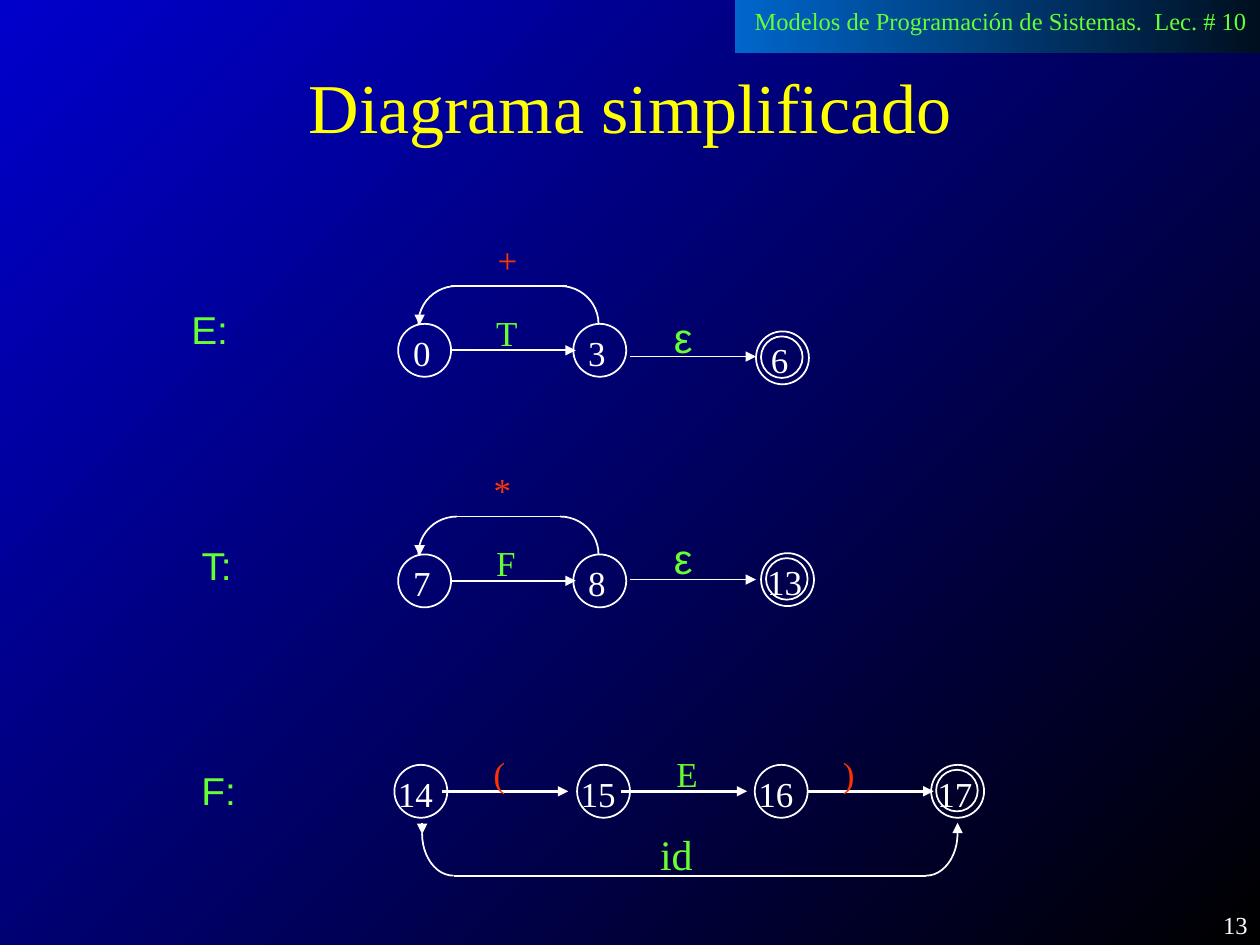
from lxml import etree
from pptx import Presentation
from pptx.dml.color import RGBColor
from pptx.enum.shapes import MSO_CONNECTOR, MSO_SHAPE
from pptx.enum.text import MSO_ANCHOR, MSO_AUTO_SIZE, PP_ALIGN
from pptx.oxml.ns import qn
from pptx.util import Pt

PIXEL = 9144
STRAIGHT = MSO_CONNECTOR.STRAIGHT
RECTANGLE, OVAL, ARC = MSO_SHAPE.RECTANGLE, MSO_SHAPE.OVAL, MSO_SHAPE.ARC
TOP, MIDDLE = MSO_ANCHOR.TOP, MSO_ANCHOR.MIDDLE
FIT_SHAPE, FIT_NONE = MSO_AUTO_SIZE.SHAPE_TO_FIT_TEXT, MSO_AUTO_SIZE.NONE
LEFT, CENTER, RIGHT = PP_ALIGN.LEFT, PP_ALIGN.CENTER, PP_ALIGN.RIGHT
SERIF, SANS = "Times New Roman", "Arial"
WHITE, GREEN, RED, YELLOW = "FFFFFF", "66FF33", "FF3300", "FFFF00"
TOP_LEFT, TOP_RIGHT = (180, 270), (270, 0)
BOTTOM_LEFT, BOTTOM_RIGHT = (90, 180), (0, 90)
CIRCLE = 42


def px(*lengths):
    return [length * PIXEL for length in lengths]


def color(value):
    return RGBColor.from_string(value)


def gradient(fill, start, end, angle):
    fill.gradient()
    fill.gradient_angle = angle
    for stop, value in zip(fill.gradient_stops, (start, end)):
        stop.color.rgb = color(value)


class DiagramSlide:
    def __init__(self, slide):
        self.slide = slide
        self.shapes = slide.shapes

    def style_text(self, shape, text, size, value, font=SERIF, align=LEFT, spacing=1.0):
        paragraph = shape.text_frame.paragraphs[0]
        paragraph.text = text
        paragraph.alignment = align
        paragraph.line_spacing = spacing
        paragraph.font.name = font
        paragraph.font.size = Pt(size)
        paragraph.font.color.rgb = color(value)

    def text(self, x, y, width, height, text, size, value, wrap=False, **style):
        shape = self.shapes.add_textbox(*px(x, y, width, height))
        shape.text_frame.word_wrap = wrap
        shape.text_frame.auto_size = FIT_NONE if wrap else FIT_SHAPE
        self.style_text(shape, text, size, value, **style)

    def placeholder(self, index, x, y, width, height, text, size, value, anchor, **style):
        shape = self.slide.placeholders[index]
        shape.left, shape.top, shape.width, shape.height = px(x, y, width, height)
        frame = shape.text_frame
        frame.auto_size = FIT_NONE
        frame.vertical_anchor = anchor
        paragraph = frame.paragraphs[0]
        paragraph.space_before = Pt(0)
        properties = paragraph._p.get_or_add_pPr()
        properties.set("marL", "0")
        properties.set("indent", "0")
        etree.SubElement(properties, qn("a:buNone"))
        self.style_text(shape, text, size, value, **style)

    def outline(self, kind, x, y, width, height):
        shape = self.shapes.add_shape(kind, *px(x, y, width, height))
        shape.shadow.inherit = False
        shape.fill.background()
        shape.line.color.rgb = color(WHITE)
        shape.line.width = Pt(1)
        return shape

    def header_band(self, x, y, width, height):
        band = self.outline(RECTANGLE, x, y, width, height)
        band.line.fill.background()
        gradient(band.fill, "000F1F", "0066CC", 180)

    def arc(self, x, y, width, height, quarter):
        shape = self.outline(ARC, x, y, width, height)
        for index, degrees in enumerate(quarter):
            shape.adjustments[index] = degrees * 0.6

    def line(self, x1, y1, x2, y2, arrow=True, width=1):
        connector = self.shapes.add_connector(STRAIGHT, *px(x1, y1, x2, y2))
        connector.line.color.rgb = color(WHITE)
        connector.line.width = Pt(width)
        if arrow:
            line = connector.line._get_or_add_ln()
            etree.SubElement(line, qn("a:tailEnd"), type="triangle")
        etree.SubElement(connector._element.spPr, qn("a:effectLst"))

    def state(self, x, y, label, final=False):
        self.outline(OVAL, x, y, CIRCLE, CIRCLE)
        if final:
            self.outline(OVAL, x + 4, y + 4, 33, 33)
        if len(label) == 1:
            self.text(x + 2, y + 1, 35, 44, label, 20, WHITE)
        else:
            self.text(x - (5 if final else 7), y + 1, 51, 44, label, 20, WHITE)

    def loop(self, top, first, second, symbol, operator, operator_x):
        self.state(316, top + 30, first)
        self.state(455, top + 30, second)
        self.line(357, top + 51, 457, top + 51)
        self.text(384, top + 15, 37, 44, symbol, 20, GREEN)
        self.text(operator_x, top - 43, 35, 44, operator, 20, RED)
        self.arc(332, top, 61, 60, TOP_LEFT)
        self.arc(414, top, 61, 60, TOP_RIGHT)
        self.line(358, top, 450, top, arrow=False)
        self.line(333, top + 23, 333, top + 31)

    def empty_move(self, y, text_y, final_x, final_y, label):
        self.line(500, y, 600, y)
        self.text(525, text_y, 34, 50, "ε", 24, GREEN, font=SANS)
        self.state(final_x, final_y, label, final=True)


def main():
    presentation = Presentation()
    presentation.slide_width, presentation.slide_height = px(1000, 750)
    slide = presentation.slides.add_slide(presentation.slide_layouts[1])
    gradient(slide.background.fill, "000000", "0000CC", 135)
    diagram = DiagramSlide(slide)

    diagram.header_band(583, 0, 417, 42)
    diagram.text(589, 0, 411, 34, "Modelos de Programación de Sistemas.  Lec. # 10", 14, GREEN)
    diagram.placeholder(0, 0, 42, 1000, 83, "Diagrama simplificado", 40, YELLOW,
                        MIDDLE, align=CENTER)
    diagram.placeholder(1, 150, 425, 75, 50, "T:", 22.2, GREEN, TOP, font=SANS)
    for x, y, name in ((142, 242, "E:"), (150, 608, "F:")):
        diagram.text(x, y, 75, 50, name, 22.2, GREEN, wrap=True, font=SANS, spacing=0.9)

    diagram.loop(227, "0", "3", "T", "+", 385)
    diagram.empty_move(283, 242, 600, 263, "6")
    diagram.loop(410, "7", "8", "F", "*", 382)
    diagram.empty_move(460, 418, 604, 439, "13")

    for x, label in ((313, "14"), (458, "15"), (599, "16"), (739, "17")):
        diagram.state(x, 607, label, final=label == "17")
    for x, text_x, width, symbol, value in (
        (351, 382, 29, "(", RED),
        (493, 527, 37, "E", GREEN),
        (641, 659, 29, ")", RED),
    ):
        diagram.line(x, 628, x + 100, 628, width=1.5)
        diagram.text(text_x, 592, width, 44, symbol, 20, value)
    diagram.arc(335, 628, 50, 67, BOTTOM_LEFT)
    diagram.arc(710, 628, 50, 67, BOTTOM_RIGHT)
    diagram.line(735, 695, 360, 695, arrow=False)
    diagram.line(335, 653, 335, 662)
    diagram.line(760, 662, 760, 653)
    diagram.text(514, 653, 51, 50, "id", 24, GREEN)

    diagram.text(792, 717, 208, 33, "13", 14, WHITE, wrap=True, align=RIGHT)
    presentation.save("out.pptx")


if __name__ == "__main__":
    main()
